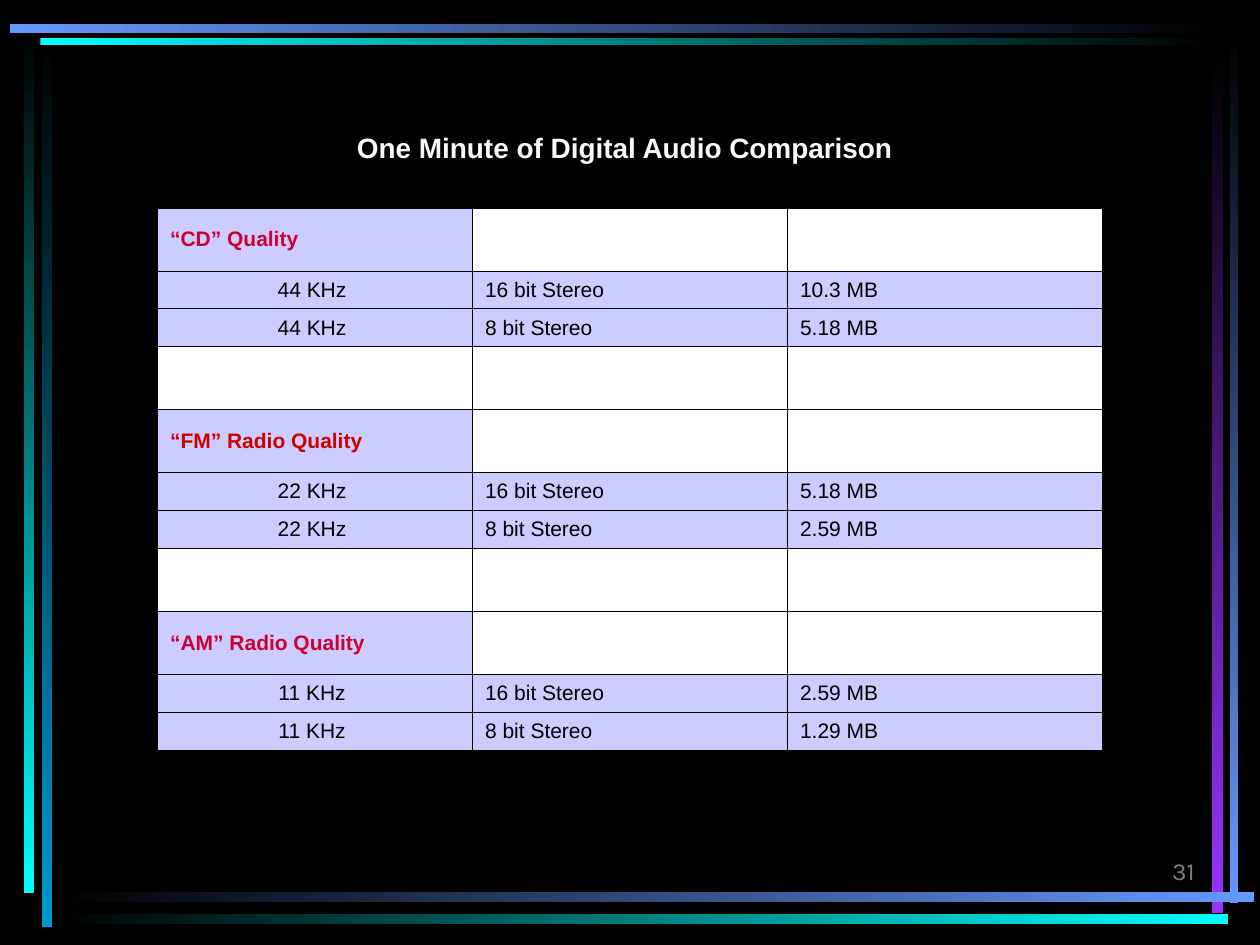
from lxml import etree
from pptx import Presentation
from pptx.dml.color import RGBColor
from pptx.enum.shapes import MSO_SHAPE
from pptx.enum.text import MSO_ANCHOR, PP_ALIGN
from pptx.oxml.ns import qn
from pptx.util import Inches, Pt

RECT = MSO_SHAPE.RECTANGLE
TOP, MIDDLE, BOTTOM = MSO_ANCHOR.TOP, MSO_ANCHOR.MIDDLE, MSO_ANCHOR.BOTTOM
LEFT, CENTER, RIGHT = PP_ALIGN.LEFT, PP_ALIGN.CENTER, PP_ALIGN.RIGHT

BLACK = RGBColor(0x00, 0x00, 0x00)
WHITE = RGBColor(0xFF, 0xFF, 0xFF)
PALE = RGBColor(0xF8, 0xF8, 0xF8)
GRAY = RGBColor(0x80, 0x80, 0x80)
LILAC = RGBColor(0xCC, 0xCC, 0xFF)
ROSE = RGBColor(0xCC, 0x00, 0x33)
RED = RGBColor(0xCC, 0x00, 0x00)
TEAL = RGBColor(0x00, 0x99, 0xCC)
CYAN = RGBColor(0x00, 0xFF, 0xFF)
BLUE = RGBColor(0x66, 0x99, 0xFF)
VIOLET = RGBColor(0x99, 0x33, 0xFF)

COLS, ROWS = 100, 75
DOWN, ACROSS = 270, 0

BARS = [
    (3.3, 2.8, 0.8, 70.8, BLACK, TEAL, DOWN),
    (1.9, 2.5, 0.8, 68.4, BLACK, CYAN, DOWN),
    (97.6, 2.4, 0.7, 69.3, BLACK, BLUE, DOWN),
    (96.2, 4.2, 0.9, 68.3, BLACK, VIOLET, DOWN),
    (4.5, 70.8, 95, 0.8, BLACK, BLUE, ACROSS),
    (4.5, 72.5, 93, 0.8, BLACK, CYAN, ACROSS),
    (3.2, 3, 93.2, 0.6, CYAN, BLACK, ACROSS),
    (0.8, 1.9, 95.6, 0.7, BLUE, BLACK, ACROSS),
]

GROUPS = [
    ("“CD” Quality", ROSE, "44 KHz ", "10.3 MB", "5.18 MB"),
    ("“FM” Radio Quality", RED, "22 KHz ", "5.18 MB", "2.59 MB"),
    ("“AM” Radio Quality", ROSE, "11 KHz ", "2.59 MB", "1.29 MB"),
]


def write(frame, text, size=12, color=BLACK, bold=False, font="Arial", align=LEFT):
    """Put one formatted paragraph into a text frame."""
    par = frame.paragraphs[0]
    par.alignment = align
    run = par.add_run()
    run.text = text
    run.font.name = font
    run.font.size = Pt(size)
    run.font.bold = bold
    run.font.color.rgb = color


class Deck:
    """Hold the slide, its grid and its table style."""

    def __init__(self):
        self.file = Presentation()
        self.file.slide_width = Inches(10)
        self.file.slide_height = Inches(7.5)
        self.slide = self.file.slides.add_slide(self.file.slide_layouts[6])
        self.shapes = self.slide.shapes
        self.edge = Pt(0.34)

    def wide(self, cols):
        """Turn grid columns into a length."""
        return round(self.file.slide_width * cols / COLS)

    def high(self, rows):
        """Turn grid rows into a length."""
        return round(self.file.slide_height * rows / ROWS)

    def area(self, x, y, w, h):
        """Turn a grid area into a place and size."""
        return self.wide(x), self.high(y), self.wide(w), self.high(h)

    def ground(self, color):
        """Fill the slide background."""
        fill = self.slide.background.fill
        fill.solid()
        fill.fore_color.rgb = color

    def bar(self, x, y, w, h, start, end, angle):
        """Draw a bar that fades from start to end."""
        shape = self.shapes.add_shape(RECT, *self.area(x, y, w, h))
        shape.shadow.inherit = False
        shape.line.fill.background()
        shape.fill.gradient()
        shape.fill.gradient_angle = angle
        for stop, color in zip(shape.fill.gradient_stops, (start, end)):
            stop.color.rgb = color

    def label(self, text, x, y, w, h, anchor, **style):
        """Add a text box."""
        frame = self.shapes.add_textbox(*self.area(x, y, w, h)).text_frame
        frame.word_wrap = True
        frame.vertical_anchor = anchor
        write(frame, text, **style)

    def frame(self, cell):
        """Draw the four borders of a cell."""
        props = cell._tc.get_or_add_tcPr()
        for place, side in enumerate(("a:lnL", "a:lnR", "a:lnT", "a:lnB")):
            line = etree.Element(qn(side), w=str(self.edge))
            fill = etree.SubElement(line, qn("a:solidFill"))
            etree.SubElement(fill, qn("a:srgbClr"), val=str(BLACK))
            props.insert(place, line)

    def table(self, rows, heights, x, y, w):
        """Add a table of text and style pairs, with None for an empty cell."""
        place = self.area(x, y, w, sum(heights))
        table = self.shapes.add_table(len(rows), len(rows[0]), *place).table
        table.first_row = table.horz_banding = False
        for line, height, row in zip(table.rows, heights, rows):
            line.height = self.high(height)
            for cell, item in zip(line.cells, row):
                cell.vertical_anchor = MIDDLE
                cell.fill.solid()
                cell.fill.fore_color.rgb = LILAC if item else WHITE
                self.frame(cell)
                if item:
                    text, style = item
                    write(cell.text_frame, text, **style)


def main():
    deck = Deck()
    deck.ground(BLACK)
    for bar in BARS:
        deck.bar(*bar)
    deck.label("31", 75, 65.8, 20.8, 5, BOTTOM,
               size=14, color=GRAY, font="Karla", align=RIGHT)
    deck.label("One Minute of Digital Audio Comparison ", 27.3, 9.9, 45.2, 6.4, TOP,
               size=16, color=PALE, bold=True, align=CENTER)

    rows, heights = [], []
    for name, color, rate, *sizes in GROUPS:
        if rows:
            rows.append([None] * 3)
            heights.append(5)
        rows.append([(name, {"color": color, "bold": True}), None, None])
        heights.append(5)
        for depth, size in zip(("16 bit Stereo", "8 bit Stereo"), sizes):
            rows.append([(rate, {"align": CENTER}), (depth, {}), (size, {})])
            heights.append(3)
    deck.table(rows, heights, 12.5, 16.5, 75)
    deck.file.save("out.pptx")


if __name__ == "__main__":
    main()
